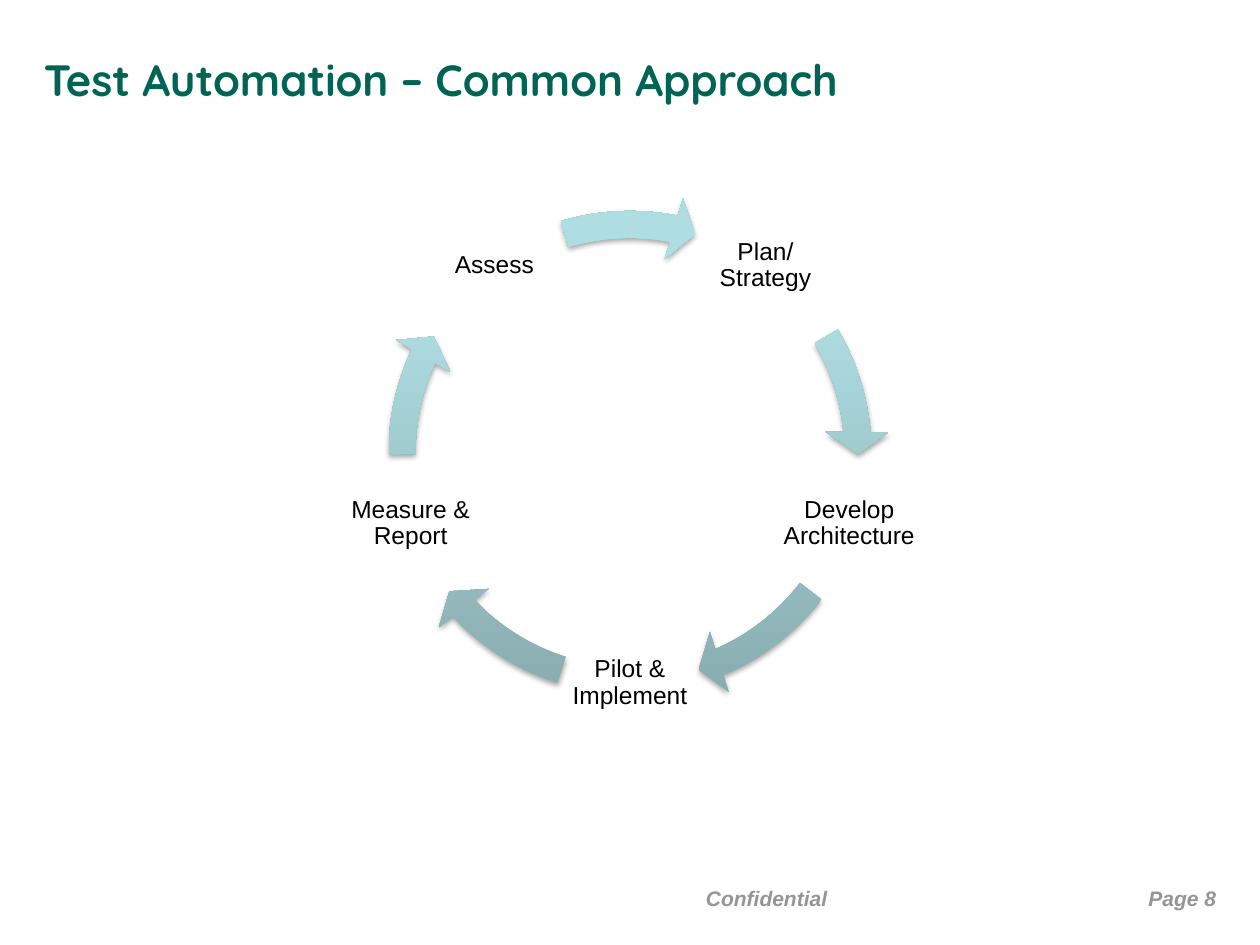
import math
import lxml.etree
import pptx
import pptx.dml.color
import pptx.enum.shapes
import pptx.enum.text
import pptx.oxml
import pptx.oxml.ns
import pptx.util

Inches = pptx.util.Inches
Align = pptx.enum.text.PP_ALIGN
Anchor = pptx.enum.text.MSO_ANCHOR
hues = {"title": "006454", "foot": "959595", "label": "000000", "shade": "000000",
        "dark": "87ABAE", "mid": "AFDEE2", "light": "AFE0E4"}


def add_text(shapes, text, box, size, hue, align, font="Arial", bold=False, slant=False):
    item = shapes.add_textbox(*[Inches(n) for n in box])
    frame = item.text_frame
    frame.word_wrap = True
    frame.text = text
    para = frame.paragraphs[0]
    para.alignment = align
    face = para.runs[0].font
    face.name = font
    face.size = pptx.util.Pt(size)
    face.bold = bold
    face.italic = slant
    face.color.rgb = pptx.dml.color.RGBColor.from_string(hues[hue])
    return frame


def add_node(root, tag, **attrs):
    return lxml.etree.SubElement(root, pptx.oxml.ns.qn(tag), attrs)


deck = pptx.Presentation()
deck.slide_width = Inches(10)
deck.slide_height = Inches(7.5)
slide = deck.slides.add_slide(deck.slide_layouts[6])

title = add_text(slide.shapes, "Test Automation – Common Approach", (0.25, 0, 9.5, 1.25),
                 25, "title", Align.LEFT, "Quicksand", True)
title.vertical_anchor = Anchor.MIDDLE
add_text(slide.shapes, "Page 8", (7.42, 6.98, 2.33, 0.52),
         12, "foot", Align.RIGHT, bold=True, slant=True)
add_text(slide.shapes, "Confidential", (4.5, 6.98, 3.17, 0.52),
         12, "foot", Align.CENTER, bold=True, slant=True)

mid_x, mid_y = 5, 3.59
ring, side, span = 1.83, 1.1, 4.12
steps = [
    ("Plan/Strategy", 329.44, 354.88),
    ("Develop Architecture", 37.56, 66.91),
    ("Pilot & Implement", 107.5, 136.84),
    ("Measure & Report", 179.52, 204.96),
    ("Assess", 253.31, 281.09),
]
cycle = slide.shapes.add_group_shape()
for i, (name, start, end) in enumerate(steps):
    turn = math.radians(72 * i - 54)
    left = mid_x + ring * math.cos(turn) - side / 2
    top = mid_y + ring * math.sin(turn) - side / 2
    label = add_text(cycle.shapes, name, (left, top, side, side), 14, "label", Align.CENTER)
    label.vertical_anchor = Anchor.MIDDLE
    label.margin_left = label.margin_right = Inches(0.02)
    label.margin_top = label.margin_bottom = Inches(0.02)
    label.paragraphs[0].line_spacing = 0.9

    arrow = cycle.shapes.add_shape(
        pptx.enum.shapes.MSO_SHAPE.CIRCULAR_ARROW, Inches(mid_x - span / 2),
        Inches(mid_y - span / 2), Inches(span), Inches(span))
    for n, value in enumerate((0.052, 3.36, end * 0.6, start * 0.6, 0.061)):
        arrow.adjustments[n] = value
    arrow.line.fill.background()
    arrow.fill.gradient()
    arrow.fill.gradient_angle = 90
    stops = arrow.element.spPr.find(".//" + pptx.oxml.ns.qn("a:gsLst"))
    for stop in list(stops):
        stops.remove(stop)
    for pos, hue in ((0, "dark"), (80, "mid"), (100, "light")):
        stop = add_node(stops, "a:gs", pos=str(pos * 1000))
        add_node(stop, "a:srgbClr", val=hues[hue])
    arrow.shadow.inherit = False
    effects = arrow.element.spPr.find(pptx.oxml.ns.qn("a:effectLst"))
    shade = add_node(effects, "a:outerShdw", blurRad="40000", dist="23000",
                     dir="5400000", rotWithShape="0")
    tint = add_node(shade, "a:srgbClr", val=hues["shade"])
    add_node(tint, "a:alpha", val="35000")

deck.save("out.pptx")
